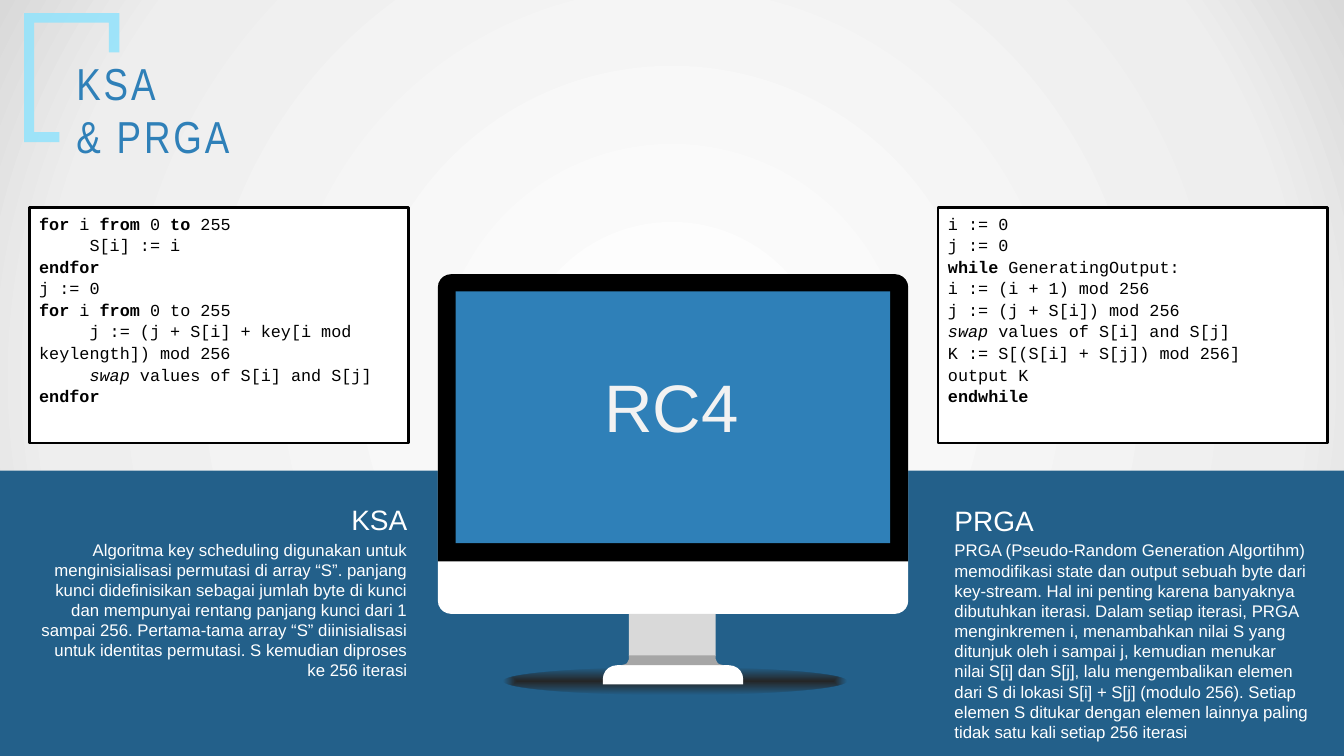
from dataclasses import dataclass
from math import cos, radians, sin

from lxml.etree import Element, SubElement
from pptx import Presentation
from pptx.dml.color import RGBColor
from pptx.enum.shapes import MSO_SHAPE
from pptx.enum.text import MSO_ANCHOR, MSO_AUTO_SIZE, PP_ALIGN
from pptx.oxml.ns import qn
from pptx.util import Inches, Pt

SLIDE_WIDTH, SLIDE_HEIGHT = Inches(13.333), Inches(7.5)


@dataclass(frozen=True)
class Theme:
    band: str = "23608A"
    accent: str = "2F80B8"
    bracket: str = "92E3FC"
    white: str = "FFFFFF"
    black: str = "000000"
    off_white: str = "F2F2F2"
    neck: str = "D9D9D9"
    neck_shade: str = "A6A6A6"
    floor_shadow: str = "262626"
    backdrop: tuple = ((0, "FFFFFF", 100), (81, "EEEEEE", 100), (100, "D9D9D9", 100))
    body_font: str = "Arial"
    title_font: str = "Arial Narrow"
    code_font: str = "Courier New"
    screen_size: int = 48
    title_size: int = 32
    heading_size: int = 20
    body_size: int = 12


THEME = Theme()


def across(share: float) -> int:
    return round(SLIDE_WIDTH * share / 100)


def down(share: float) -> int:
    return round(SLIDE_HEIGHT * share / 100)


@dataclass(frozen=True)
class Box:
    """Left, top, width and height in percent of the slide."""
    left: float
    top: float
    width: float
    height: float

    def lengths(self) -> tuple:
        return across(self.left), down(self.top), across(self.width), down(self.height)


@dataclass(frozen=True)
class Label:
    box: Box
    lines: tuple
    size: int
    color: str = THEME.white
    font: str = THEME.body_font
    align: PP_ALIGN = PP_ALIGN.LEFT
    tracking: int = 0


@dataclass(frozen=True)
class CodePanel:
    """Lines mark bold with *, italic with _ and a first-line indent with a leading >."""
    box: Box
    lines: tuple


@dataclass(frozen=True)
class RoundedPart:
    box: Box
    radius: float  # inches
    color: str
    round_bottom: bool = False


# Fills and outlines
def paint(shape, color: str) -> None:
    shape.shadow.inherit = False
    shape.fill.solid()
    shape.fill.fore_color.rgb = RGBColor.from_string(color)
    shape.line.fill.background()


def use_path_gradient(parent, stops: tuple, kind: str) -> None:
    gradient = Element(qn("a:gradFill"), rotWithShape="1")
    stop_list = SubElement(gradient, qn("a:gsLst"))
    for position, color, opacity in stops:
        stop = SubElement(stop_list, qn("a:gs"), pos=str(position * 1000))
        value = SubElement(stop, qn("a:srgbClr"), val=color)
        if opacity < 100:
            SubElement(value, qn("a:alpha"), val=str(opacity * 1000))
    outline = SubElement(gradient, qn("a:path"))
    outline.set("path", kind)
    SubElement(outline, qn("a:fillToRect"), l="50000", t="50000", r="50000", b="50000")
    parent.replace(parent.find(qn("a:solidFill")), gradient)


def add_preset(shapes, kind: MSO_SHAPE, box: Box, color: str):
    shape = shapes.add_shape(kind, *box.lengths())
    paint(shape, color)
    return shape


def add_outline(shapes, points: list, color: str):
    builder = shapes.build_freeform(*points[0], scale=1.0)
    builder.add_line_segments(points[1:], close=True)
    shape = builder.convert_to_shape()
    paint(shape, color)
    return shape


def add_rounded(shapes, part: RoundedPart) -> None:
    left, top, width, height = part.box.lengths()
    radius = Inches(part.radius)
    right, bottom = left + width, top + height
    corners = [(left + radius, top + radius, 180), (right - radius, top + radius, 270)]
    if part.round_bottom:
        corners += [(right - radius, bottom - radius, 0), (left + radius, bottom - radius, 90)]
    points = [(round(x + radius * cos(radians(start + step))),
               round(y + radius * sin(radians(start + step))))
              for x, y, start in corners for step in range(0, 91, 18)]
    if not part.round_bottom:
        points += [(right, bottom), (left, bottom)]
    add_outline(shapes, points, part.color)


# Text
def set_font(paragraph, name: str, size: int, color: str) -> None:
    paragraph.font.name = name
    paragraph.font.size = Pt(size)
    paragraph.font.color.rgb = RGBColor.from_string(color)


def add_label(shapes, label: Label) -> None:
    frame = shapes.add_textbox(*label.box.lengths()).text_frame
    frame.word_wrap = True
    frame.auto_size = MSO_AUTO_SIZE.SHAPE_TO_FIT_TEXT
    frame.text = "\n".join(label.lines)
    for paragraph in frame.paragraphs:
        paragraph.alignment = label.align
        set_font(paragraph, label.font, label.size, label.color)
        if label.tracking:
            for run in paragraph.runs:
                run.font._element.set("spc", str(label.tracking * 100))


def add_code_panel(shapes, panel: CodePanel) -> None:
    shape = add_preset(shapes, MSO_SHAPE.RECTANGLE, panel.box, THEME.white)
    shape.line.color.rgb = RGBColor.from_string(THEME.black)
    shape.line.width = Pt(2)
    frame = shape.text_frame
    frame.word_wrap = True
    frame.vertical_anchor = MSO_ANCHOR.TOP
    for number, line in enumerate(panel.lines):
        paragraph = frame.add_paragraph() if number else frame.paragraphs[0]
        paragraph.alignment = PP_ALIGN.LEFT
        paragraph.line_spacing = 1.07
        set_font(paragraph, THEME.code_font, THEME.body_size, THEME.black)
        if line.startswith(">"):
            paragraph._p.get_or_add_pPr().set("indent", str(Inches(0.5)))
        for bold, strong in enumerate(line.lstrip(">").split("*")):
            for italic, piece in enumerate(strong.split("_")):
                if piece:
                    run = paragraph.add_run()
                    run.text = piece
                    run.font.bold = bold % 2 == 1
                    run.font.italic = italic % 2 == 1


# Content
SCREEN_BOX = Box(33.9, 38.53, 32.33, 33.33)
NECK_BOX = Box(46.8, 81.2, 6.46, 5.6)
MONITOR_BODY = RoundedPart(Box(32.58, 38.4, 35, 42.8), 0.13, THEME.white, True)
MONITOR_FRAME = RoundedPart(Box(32.58, 36.27, 35, 38), 0.13, THEME.black)
MONITOR_FOOT = RoundedPart(Box(44.85, 88, 10.45, 2.53), 0.14, THEME.white)
NECK_FLARE = ((3.23, 86.7), (3.23, 87.2), (3.3, 87.47), (3.38, 87.73), (3.53, 87.87), (3.83, 88))
BRACKET = ((4.43, 18.8), (1.8, 18.8), (1.8, 1.73), (8.88, 1.73), (8.88, 6.93), (8.1, 6.93),
           (8.1, 3), (2.55, 3), (2.55, 17.47), (4.43, 17.47))
CODE_PANELS = (
    CodePanel(Box(2.18, 27.4, 28.2, 31.2), (
        "*for* i *from* 0 *to* 255", ">S[i] := i", "*endfor*", "j := 0",
        "*for* i *from* 0 to 255", ">j := (j + S[i] + key[i mod keylength]) mod 256",
        ">_swap_ values of S[i] and S[j]", "*endfor*")),
    CodePanel(Box(69.8, 27.4, 28.98, 31.2), (
        "i := 0", "j := 0", "*while *GeneratingOutput:", "i := (i + 1) mod 256",
        "j := (j + S[i]) mod 256", "_swap_ values of S[i] and S[j]",
        "K := S[(S[i] + S[j]) mod 256]", "output K", "*endwhile*")),
)
KSA_TEXT = (
    "Algoritma key scheduling digunakan untuk menginisialisasi permutasi di array “S”. panjang "
    "kunci didefinisikan sebagai jumlah byte di kunci dan mempunyai rentang panjang kunci dari 1 "
    "sampai 256. Pertama-tama array “S” diinisialisasi untuk identitas permutasi. S kemudian "
    "diproses ke 256 iterasi")
PRGA_TEXT = (
    "PRGA (Pseudo-Random Generation Algortihm) memodifikasi state dan output sebuah byte dari "
    "key-stream. Hal ini penting karena banyaknya dibutuhkan iterasi. Dalam setiap iterasi, PRGA "
    "menginkremen i, menambahkan nilai S yang ditunjuk oleh i sampai j, kemudian menukar nilai "
    "S[i] dan S[j], lalu mengembalikan elemen dari S di lokasi S[i] + S[j] (modulo 256). Setiap "
    "elemen S ditukar dengan elemen lainnya paling tidak satu kali setiap 256 iterasi")
LABELS = (
    Label(Box(38.25, 47.6, 23.4, 12.13), ("RC4",), THEME.screen_size, THEME.off_white,
          align=PP_ALIGN.CENTER),
    Label(Box(4.95, 6.67, 22.35, 15.73), ("KSA", "& PRGA"), THEME.title_size, THEME.accent,
          THEME.title_font, tracking=2),
    Label(Box(1.8, 70.67, 29.25, 20.13), (KSA_TEXT,), THEME.body_size, align=PP_ALIGN.RIGHT),
    Label(Box(7.65, 65.87, 23.4, 5.87), ("KSA",), THEME.heading_size, align=PP_ALIGN.RIGHT),
    Label(Box(70.28, 70.8, 27.9, 28.27), (PRGA_TEXT,), THEME.body_size),
    Label(Box(70.28, 66, 23.4, 5.87), ("PRGA",), THEME.heading_size),
)


def add_monitor(slide) -> None:
    shapes = slide.shapes.add_group_shape().shapes
    add_rounded(shapes, MONITOR_BODY)
    add_rounded(shapes, MONITOR_FRAME)
    add_preset(shapes, MSO_SHAPE.RECTANGLE, SCREEN_BOX, THEME.accent)
    add_preset(shapes, MSO_SHAPE.RECTANGLE, NECK_BOX, THEME.neck)
    add_rounded(shapes, MONITOR_FOOT)
    center = NECK_BOX.left + NECK_BOX.width / 2
    flare = [(center + x, y) for x, y in NECK_FLARE]
    flare += [(center - x, y) for x, y in reversed(NECK_FLARE)]
    add_outline(shapes, [(across(x), down(y)) for x, y in flare], THEME.neck_shade)


def main() -> None:
    presentation = Presentation()
    presentation.slide_width, presentation.slide_height = SLIDE_WIDTH, SLIDE_HEIGHT
    slide = presentation.slides.add_slide(presentation.slide_layouts[6])
    shapes = slide.shapes

    # Backdrop, band and floor shadow
    slide.background.fill.solid()
    use_path_gradient(slide._element.find(".//" + qn("p:bgPr")), THEME.backdrop, "circle")
    add_preset(shapes, MSO_SHAPE.RECTANGLE, Box(0, 62.25, 100, 37.75), THEME.band)
    shadow = add_preset(shapes, MSO_SHAPE.OVAL, Box(37.5, 88.27, 25.5, 3.6), THEME.floor_shadow)
    fade = ((0, THEME.floor_shadow, 100), (100, THEME.floor_shadow, 0))
    use_path_gradient(shadow._element.spPr, fade, "shape")

    add_monitor(slide)

    # Title bracket
    bracket = add_outline(shapes, [(across(x), down(y)) for x, y in BRACKET], THEME.bracket)
    bracket_color = bracket._element.spPr.find(qn("a:solidFill"))[0]
    SubElement(bracket_color, qn("a:alpha"), val="86000")

    # Code and explanations
    for panel in CODE_PANELS:
        add_code_panel(shapes, panel)
    for label in LABELS:
        add_label(shapes, label)
    presentation.save("out.pptx")


if __name__ == "__main__":
    main()
